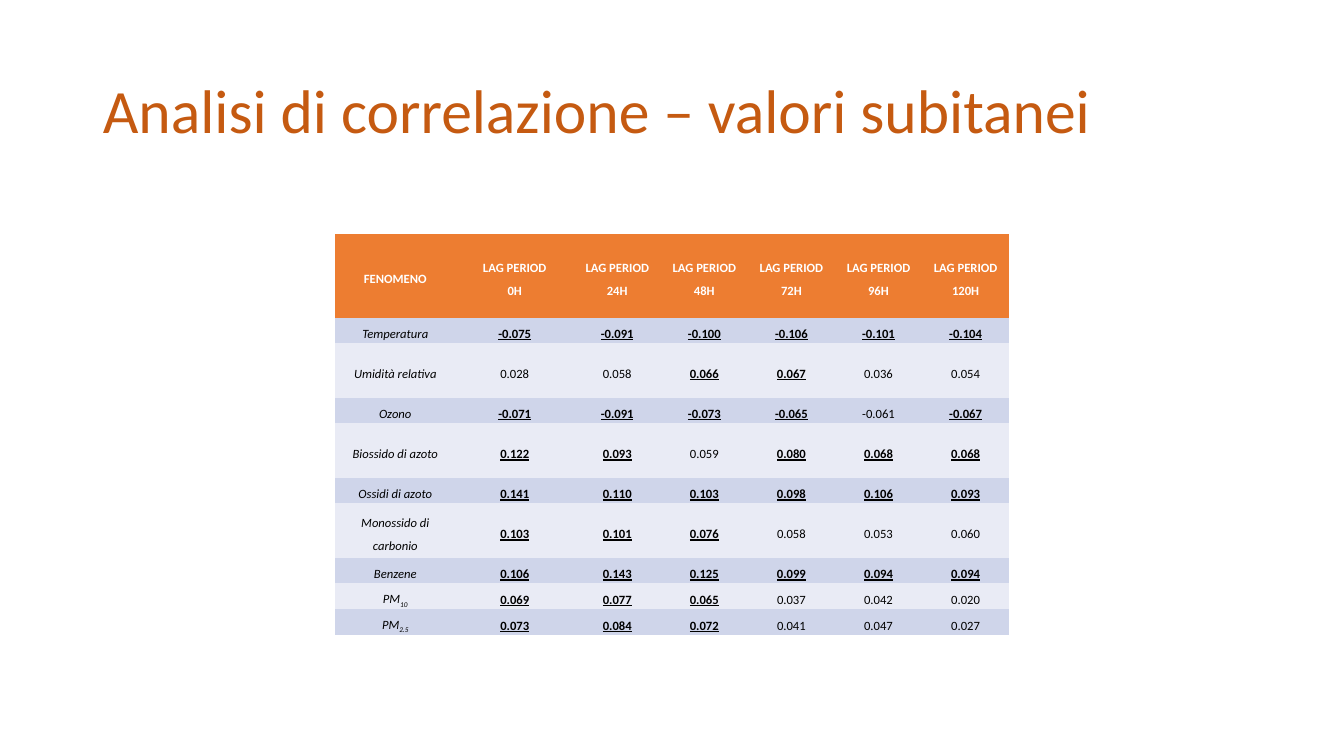
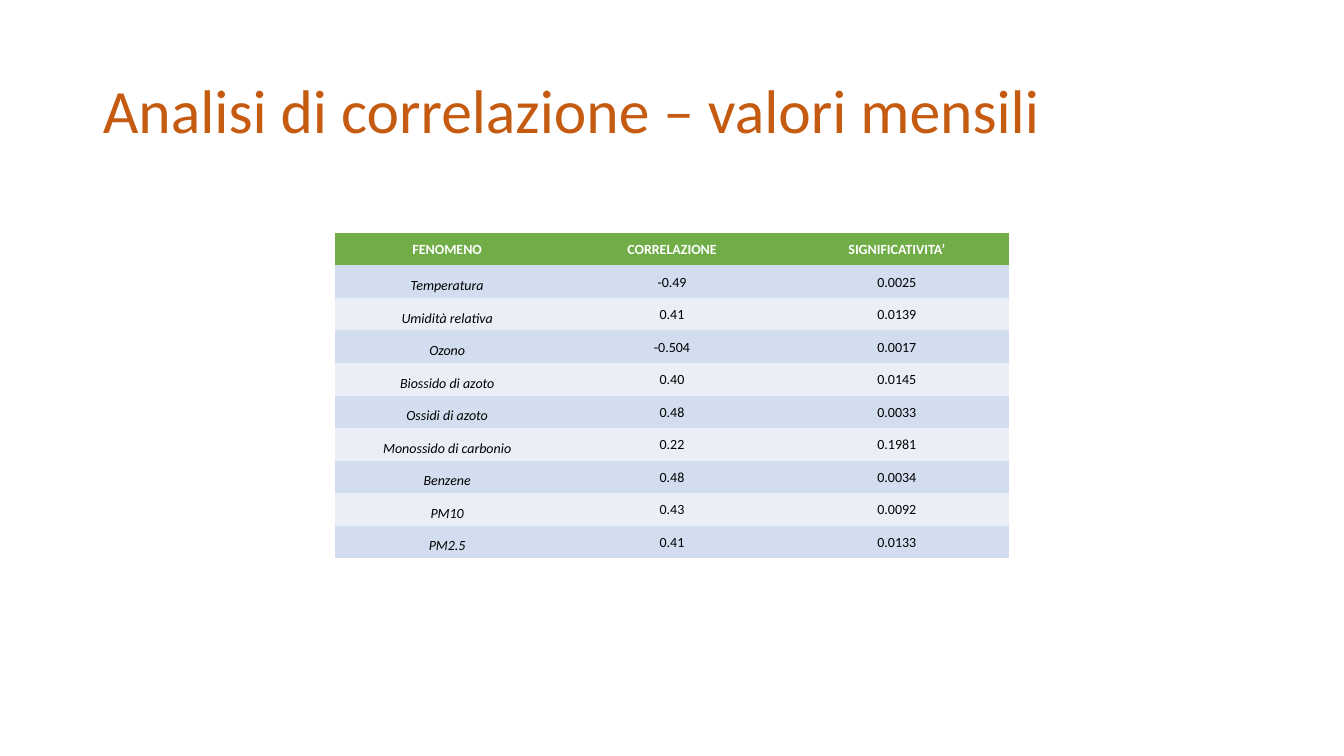
import pptx
import pptx.dml.color
import pptx.enum.text
import pptx.util
from dataclasses import dataclass

Inches = pptx.util.Inches
ANCHOR = pptx.enum.text.MSO_ANCHOR
ALIGN = pptx.enum.text.PP_ALIGN


@dataclass(frozen=True)
class Theme:
    font: str = "Calibri"
    title_color: str = "C55A11"
    title_size: int = 44
    header_text: str = "FFFFFF"
    body_text: str = "000000"
    line_spacing: float = 1.5
    plain_style: str = "{2D5ABB26-0587-4C30-8999-92F81FD0307C}"


THEME = Theme()
TABLE_LEFT, TABLE_WIDTH = 3.32, 6.69
SIGNIFICANT = 0.065  # lagged correlations from here up are emphasised

# Content: a newline starts a paragraph, an underscore starts a subscript
LAG_ROWS = [
    ["FENOMENO", "LAG PERIOD\n0H"]
    + [f"LAG PERIOD {hours}H" for hours in (24, 48, 72, 96, 120)],
    ["Temperatura", "-0.075", "-0.091", "-0.100", "-0.106", "-0.101", "-0.104"],
    ["Umidità relativa", "0.028", "0.058", "0.066", "0.067", "0.036", "0.054"],
    ["Ozono", "-0.071", "-0.091", "-0.073", "-0.065", "-0.061", "-0.067"],
    ["Biossido di azoto", "0.122", "0.093", "0.059", "0.080", "0.068", "0.068"],
    ["Ossidi di azoto", "0.141", "0.110", "0.103", "0.098", "0.106", "0.093"],
    ["Monossido di carbonio", "0.103", "0.101", "0.076", "0.058", "0.053", "0.060"],
    ["Benzene", "0.106", "0.143", "0.125", "0.099", "0.094", "0.094"],
    ["PM_10", "0.069", "0.077", "0.065", "0.037", "0.042", "0.020"],
    ["PM_2.5", "0.073", "0.084", "0.072", "0.041", "0.047", "0.027"],
]
MONTHLY_ROWS = [
    ["FENOMENO", "CORRELAZIONE", "SIGNIFICATIVITA’"],
    ["Temperatura", "-0.49", "0.0025"],
    ["Umidità relativa", "0.41", "0.0139"],
    ["Ozono", "-0.504", "0.0017"],
    ["Biossido di azoto", "0.40", "0.0145"],
    ["Ossidi di azoto", "0.48", "0.0033"],
    ["Monossido di carbonio", "0.22", "0.1981"],
    ["Benzene", "0.48", "0.0034"],
    ["PM10", "0.43", "0.0092"],
    ["PM2.5", "0.41", "0.0133"],
]

# Fixed sizes are listed by index; the other rows and columns share the rest
SLIDES = [
    dict(title="Analisi di correlazione – valori subitanei", rows=LAG_ROWS,
         top=2.32, height=3.98, fixed_columns={0: 1.2, 1: 1.17},
         fixed_rows={0: 0.83, 2: 0.54, 4: 0.54, 6: 0.54}, size=9,
         header="ED7D31", bands=("CFD5EA", "E9EBF5"),
         value_anchor=ANCHOR.MIDDLE, emphasis=True),
    dict(title="Analisi di correlazione – valori mensili", rows=MONTHLY_ROWS,
         top=2.31, height=3.23, fixed_columns={}, fixed_rows={}, size=10,
         header="70AD47", bands=("D2DEEF", "EAEFF7"),
         value_anchor=ANCHOR.TOP, emphasis=False),
]


def rgb(value):
    return pptx.dml.color.RGBColor.from_string(value)


def share(total, count, fixed):
    rest = (total - sum(fixed.values())) / (count - len(fixed))
    return [Inches(fixed.get(index, rest)) for index in range(count)]


def add_span(para, text, size, color, bold=False, italic=False, underline=False):
    span = para.add_run()
    span.text = text
    font = span.font
    font.name, font.size = THEME.font, pptx.util.Pt(size)
    font.color.rgb = rgb(color)
    font.bold, font.italic, font.underline = bold, italic, underline
    return span


def add_title(page, text):
    box = page.shapes.title
    box.left, box.top = Inches(0.92), Inches(0.4)
    box.width, box.height = Inches(11.5), Inches(1.45)
    frame = box.text_frame
    frame.word_wrap = True
    frame.auto_size = pptx.enum.text.MSO_AUTO_SIZE.NONE
    frame.vertical_anchor = ANCHOR.MIDDLE
    para = frame.paragraphs[0]
    para.alignment, para.line_spacing = ALIGN.LEFT, 0.9
    add_span(para, text, THEME.title_size, THEME.title_color)


def fill_cell(cell, text, row, column, look):
    is_header, is_label = row == 0, column == 0
    strong = (look["emphasis"] and not is_header and not is_label
              and abs(float(text)) >= SIGNIFICANT)
    cell.fill.solid()
    cell.fill.fore_color.rgb = rgb(
        look["header"] if is_header else look["bands"][(row - 1) % 2])
    cell.margin_left = cell.margin_right = Inches(0.07)
    cell.margin_top = cell.margin_bottom = 0
    cell.vertical_anchor = (ANCHOR.MIDDLE if is_label and not is_header
                            else look["value_anchor"])
    frame = cell.text_frame
    for index, line in enumerate(text.split("\n")):
        para = frame.add_paragraph() if index else frame.paragraphs[0]
        para.alignment, para.line_spacing = ALIGN.CENTER, THEME.line_spacing
        for part, piece in enumerate(line.split("_")):
            span = add_span(
                para, piece, look["size"],
                THEME.header_text if is_header else THEME.body_text,
                bold=is_header or strong,
                italic=is_label and not is_header, underline=strong)
            if part:
                span.font._element.set("baseline", "-25000")


def add_data_table(page, look):
    rows = look["rows"]
    table = page.shapes.add_table(
        len(rows), len(rows[0]), Inches(TABLE_LEFT), Inches(look["top"]),
        Inches(TABLE_WIDTH), Inches(look["height"])).table
    # The plain style leaves out grid lines
    table._tbl.tblPr[0].text = THEME.plain_style
    widths = share(TABLE_WIDTH, len(rows[0]), look["fixed_columns"])
    heights = share(look["height"], len(rows), look["fixed_rows"])
    for column, width in zip(table.columns, widths):
        column.width = width
    for row, height in zip(table.rows, heights):
        row.height = height
    for row, texts in enumerate(rows):
        for column, text in enumerate(texts):
            fill_cell(table.cell(row, column), text, row, column, look)


def main():
    deck = pptx.Presentation()
    deck.slide_width, deck.slide_height = Inches(13.33), Inches(7.5)
    for look in SLIDES:
        page = deck.slides.add_slide(deck.slide_layouts[5])
        add_title(page, look["title"])
        add_data_table(page, look)
    deck.save("out.pptx")


if __name__ == "__main__":
    main()
